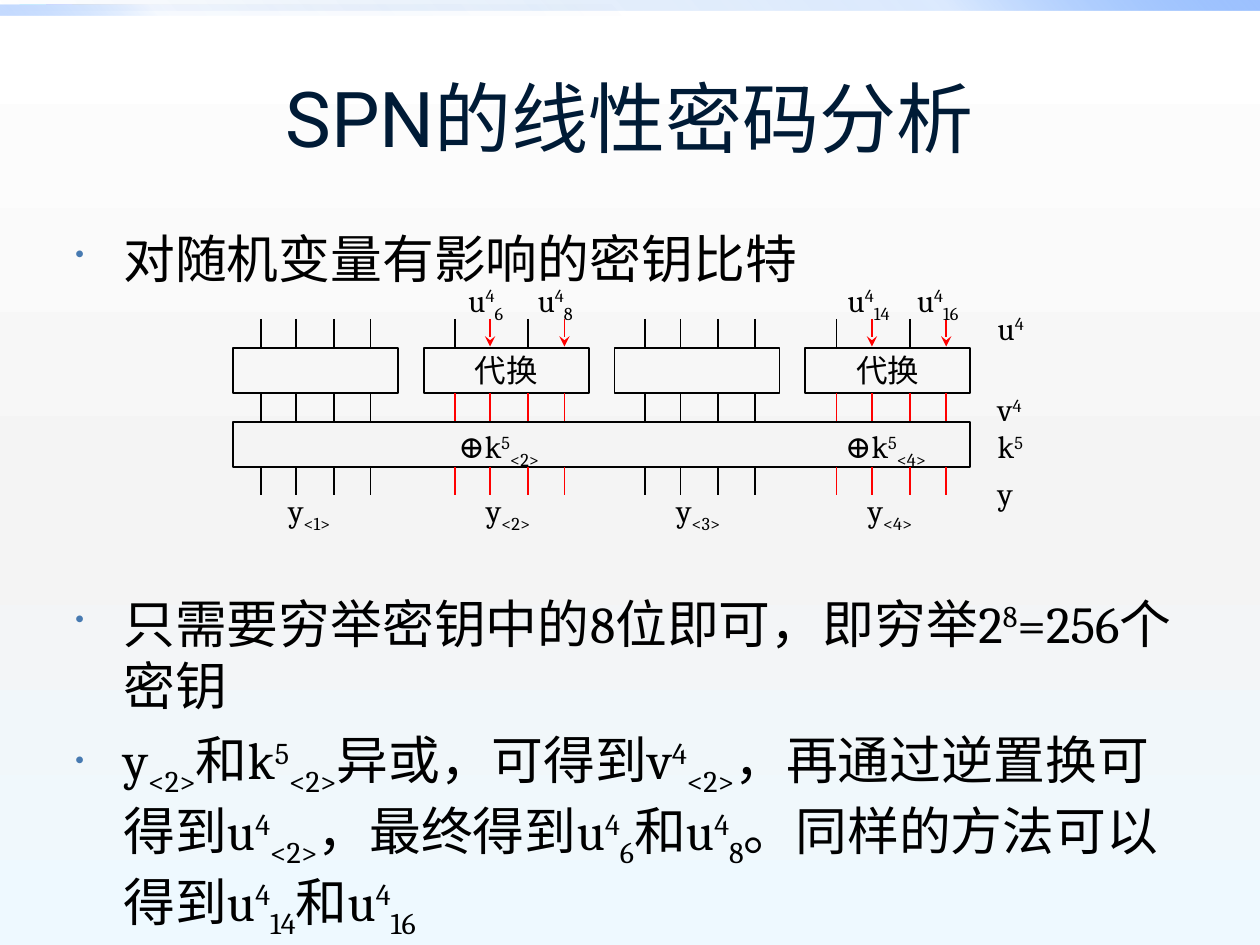
from lxml.etree import SubElement as Sub
from pptx import Presentation
from pptx.dml.color import RGBColor
from pptx.enum.shapes import MSO_CONNECTOR as Conn, MSO_SHAPE as Shape
from pptx.enum.text import MSO_ANCHOR as Anchor, PP_ALIGN as Align
from pptx.oxml.ns import qn
from pptx.util import Inches, Pt

BLACK, RED = "000000", "FF0000"
BASE = {"^": "30000", "_": "-25000"}

# Substitution boxes and wires
LEFT, WIDE, BOX_W, BOX_H = 1.85, 5.85, 1.31, 0.36
STEP = (WIDE - BOX_W) / 3
STARTS = (2.07, 3.61, 5.12, 6.64)
OFFSETS = (0, 0.28, 0.58, 0.87)
ROWS = (2.53, 3.12, 3.71)
WIRE = 0.22
ACTIVE = (1, 3)      # boxes on the linear trail
ARROWS = {(1, 1), (1, 3), (3, 0), (3, 3)}
FIRST = {(1, 1), (1, 3), (3, 1), (3, 3)}

# Text, left, top, width
LABELS = (
    ("u|^4", 7.82, 2.4, 0.81), ("v|^4", 7.82, 3.05, 0.81),
    ("k|^5", 7.82, 3.34, 0.81), ("y", 7.82, 3.71, 0.81),
    ("u|^4|_6", 3.62, 2.18, 0.63), ("u|^4|_8", 4.17, 2.18, 0.63),
    ("u|^4|_14", 6.63, 2.18, 0.63), ("u|^4|_16", 7.18, 2.18, 0.63),
    ("⊕k|^5|_<2>", 3.54, 3.34, 1.11), ("⊕k|^5|_<4>", 6.61, 3.34, 1.2),
    ("y|_<1>", 2.19, 3.85, 0.81), ("y|_<2>", 3.76, 3.85, 0.81),
    ("y|_<3>", 5.27, 3.85, 0.81), ("y|_<4>", 6.79, 3.85, 0.81),
)

# Text, space before in points (the second leaves room for the diagram)
POINTS = (
    ("对随机变量有影响的密钥比特", 0),
    ("只需要穷举密钥中的8位即可，即穷举2|^8|=256个密钥", 173),
    ("y|_<2>|和k|^5|_<2>|异或，可得到v|^4|_<2>|，再通过逆置换可得到u|^4|_<2>"
     "|，最终得到u|^4|_6|和u|^4|_8|。同样的方法可以得到u|^4|_14|和u|^4|_16", 7),
)


def color(code):
    return RGBColor.from_string(code)


def grad(fill, owner, stops, angle):
    """Fill with (position, colour, opacity) stops, angle clockwise."""
    fill.gradient()
    node = owner.xpath(".//a:gradFill")[0]
    node.find(qn("a:lin")).set("ang", str(angle * 60000))
    items = node.find(qn("a:gsLst"))
    for old in list(items):
        items.remove(old)
    for pos, code, alpha in stops:
        stop = Sub(items, qn("a:gs"), pos=str(pos * 1000))
        rgb = Sub(stop, qn("a:srgbClr"), val=code)
        if alpha < 100:
            Sub(rgb, qn("a:alpha"), val=str(alpha * 1000))


def write(para, text, size, font="Cambria", code=BLACK):
    """Add runs split at |, where ^ raises and _ lowers a run."""
    for part in text.split("|"):
        run = para.add_run()
        run.text = part.lstrip("^_")
        run.font.size = Pt(size)
        run.font.name = font
        run.font.color.rgb = color(code)
        if part[0] in BASE:
            run._r.get_or_add_rPr().set("baseline", BASE[part[0]])


def frame(shapes, x, y, w, h):
    box = shapes.add_textbox(Inches(x), Inches(y), Inches(w), Inches(h))
    box.text_frame.word_wrap = True
    return box.text_frame


def bullet(para):
    props = para._p.get_or_add_pPr()
    props.set("marL", str(Inches(0.38)))
    props.set("indent", str(-Inches(0.38)))
    tint = Sub(props, qn("a:buClr"))
    Sub(tint, qn("a:srgbClr"), val="477AB1")
    Sub(props, qn("a:buSzPct"), val="50000")
    Sub(props, qn("a:buChar"), char="•")


def rect(shapes, x, y, w, h):
    box = shapes.add_shape(Shape.RECTANGLE, Inches(x), Inches(y),
                           Inches(w), Inches(h))
    box.shadow.inherit = False
    return box


def block(shapes, x, y, w, text=""):
    box = rect(shapes, x, y, w, BOX_H)
    box.fill.background()
    box.line.color.rgb = color(BLACK)
    box.line.width = Pt(1)
    if text:
        box.text_frame.vertical_anchor = Anchor.MIDDLE
        para = box.text_frame.paragraphs[0]
        para.alignment = Align.CENTER
        write(para, text, 18)


def wire(shapes, x, y, code, arrow):
    line = shapes.add_connector(Conn.STRAIGHT, Inches(x), Inches(y),
                                Inches(x), Inches(y + WIRE))
    line.line.color.rgb = color(code)
    line.line.width = Pt(1)
    if arrow:
        Sub(line.line._get_or_add_ln(), qn("a:tailEnd"), type="stealth")
    Sub(line._element.spPr, qn("a:effectLst"))


def decor(slide):
    grad(slide.background.fill, slide.element,
         ((0, "FFFFFF", 100), (55, "F4F4F4", 100), (100, "EEF9FF", 100)), 90)
    for y, w, mid, end, angle in ((0, 10, 20, 100, 315), (0.04, 5, 5, 60, 135)):
        bar = rect(slide.shapes, 0, y, w, 0.08)
        bar.line.fill.background()
        grad(bar.fill, bar.element,
             ((0, "0058B7", 0), (75, "4F95FF", mid), (100, "9EC2FF", end)), angle)


def network(shapes):
    for col in range(4):
        block(shapes, LEFT + col * STEP, 2.76, BOX_W,
              "代换" if col in ACTIVE else "")
    block(shapes, LEFT, 3.35, WIDE)
    for row, y in enumerate(ROWS):
        for col, start in enumerate(STARTS):
            for bit, shift in enumerate(OFFSETS):
                # Top wires carry only the chosen input bits
                arrow = row == 0 and (col, bit) in FIRST
                hot = arrow or (row > 0 and col in ACTIVE)
                wire(shapes, start + shift, y, RED if hot else BLACK, arrow)
    for text, x, y, w in LABELS:
        write(frame(shapes, x, y, w, 0.37).paragraphs[0], text, 18)


def main():
    deck = Presentation()
    deck.slide_width, deck.slide_height = Inches(10), Inches(7.5)
    slide = deck.slides.add_slide(deck.slide_layouts[6])
    decor(slide)

    # Title
    title = frame(slide.shapes, 0.5, 0.3, 9, 1.25)
    title.vertical_anchor = Anchor.MIDDLE
    title.paragraphs[0].alignment = Align.CENTER
    write(title.paragraphs[0], "SPN的线性密码分析", 44, "Roboto", "001B36")

    # Bullet points
    body = frame(slide.shapes, 0.5, 1.75, 9, 4.95)
    for num, (text, gap) in enumerate(POINTS):
        para = body.add_paragraph() if num else body.paragraphs[0]
        bullet(para)
        if gap:
            para.space_before = Pt(gap)
        write(para, text, 29.6)

    # Cipher diagram
    network(slide.shapes.add_group_shape().shapes)
    deck.save("out.pptx")


if __name__ == "__main__":
    main()
